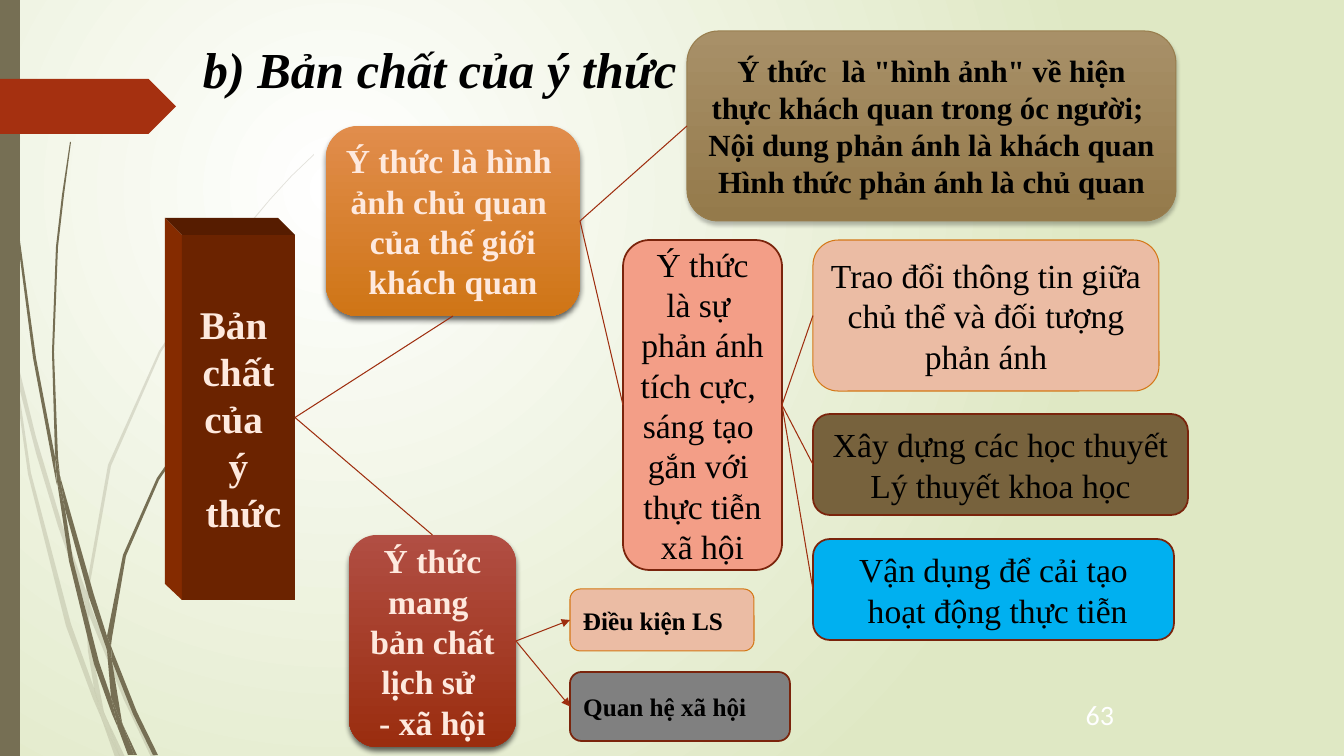
from dataclasses import dataclass
from typing import NamedTuple

from lxml.etree import SubElement
from pptx import Presentation
from pptx.dml.color import RGBColor
from pptx.enum.shapes import MSO_CONNECTOR, MSO_SHAPE
from pptx.enum.text import MSO_ANCHOR, PP_ALIGN
from pptx.oxml.ns import qn
from pptx.util import Emu, Pt

WIDTH, HEIGHT = 1344, 756
SCALE = 12192000 / WIDTH
TOP, LEFT, BOTTOM, RIGHT = range(4)


@dataclass(frozen=True)
class Theme:
    font: str = "Times New Roman"
    plain: str = "Calibri"
    title: int = 36
    root: int = 28
    body: int = 24
    note: int = 22
    small: int = 18
    page: int = 20
    black: str = "000000"
    white: str = "FFFFFF"
    cream: str = "FEE9DE"
    lime: str = "DFE8C4"
    olive: str = "766F54"
    red: str = "A53010"
    wire: str = "9E2E0F"
    rust: str = "7A240C"
    front: str = "6B2300"
    side: str = "852B00"
    lid: str = "561C00"


THEME = Theme()
Shade = NamedTuple("Shade", [("alpha", int), ("blur", int), ("drop", int)])


class Look(NamedTuple):
    fill: tuple[str, ...]
    line: str = ""
    weight: float = 0
    shade: Shade | None = None


class Type(NamedTuple):
    size: int
    color: str = THEME.black
    bold: bool = False
    italic: bool = False
    align: PP_ALIGN = PP_ALIGN.CENTER
    font: str = THEME.font


class Box(NamedTuple):
    name: str
    area: tuple[int, int, int, int]
    look: Look
    kind: Type
    lines: tuple[str, ...]
    form: MSO_SHAPE = MSO_SHAPE.ROUNDED_RECTANGLE
    wrap: bool = True


class Link(NamedTuple):
    start: str
    end: str
    site: int = LEFT
    arrow: bool = False


DEEP, SOFT = Shade(60, 4, 3), Shade(25, 3, 2)
PALE = Look(("EBBCA4",), "D47817", 0.75)
BODY = Type(THEME.body)
BOLD = Type(THEME.body, THEME.cream, True)
SMALL = Type(THEME.small, bold=True, align=PP_ALIGN.LEFT)
BOXES = (
    Box("root", (182, 235, 113, 365), Look((THEME.front,)), Type(THEME.root, THEME.cream, True),
        ("Bản ", "chất", "của ", "ý", " thức"), MSO_SHAPE.RECTANGLE, False),
    Box("image", (326, 126, 254, 190), Look(("E18D4C", "CF7516"), shade=DEEP), BOLD,
        ("Ý thức là hình ", "ảnh chủ quan ", "của thế giới", "khách quan")),
    Box("content", (687, 31, 489, 190), Look(("A89068", "947A4B"), "987D4D", 0.75, SOFT), Type(THEME.note, bold=True),
        ('Ý thức  là "hình ảnh" về hiện thực khách quan trong óc người; ',
         "Nội dung phản ánh là khách quan", "Hình thức phản ánh là chủ quan")),
    Box("active", (623, 240, 159, 330), Look(("F39E87",), THEME.rust, 1.25), BODY,
        ("Ý thức là sự ", "phản ánh ", "tích cực, ", "sáng tạo ", "gắn với ", "thực tiễn ", "xã hội")),
    Box("exchange", (813, 240, 346, 151), PALE, BODY, ("Trao đổi thông tin giữa ", "chủ thể và đối tượng phản ánh")),
    Box("theory", (813, 414, 375, 101), Look(("77623D",), THEME.rust, 1.25), BODY,
        ("Xây dựng các học thuyết", "Lý thuyết khoa học")),
    Box("apply", (813, 539, 361, 101), Look(("00B0F0",), THEME.rust, 1.25), BODY,
        ("Vận dụng để cải tạo", " hoạt động thực tiễn")),
    Box("social", (349, 535, 167, 212), Look(("B14E43", "9A2D0F"), shade=DEEP), BOLD,
        ("Ý thức mang ", "bản chất ", "lịch sử ", "- xã hội")),
    Box("era", (570, 589, 184, 62), PALE, SMALL, ("Điều kiện LS",)),
    Box("ties", (570, 672, 220, 69), Look(("808080",), THEME.rust, 1.25), SMALL, ("Quan hệ xã hội",)),
)
LINKS = (
    Link("image", "content"), Link("image", "active"),
    Link("active", "exchange"), Link("active", "theory"), Link("active", "apply"),
    Link("root", "image", BOTTOM), Link("root", "social", TOP),
    Link("social", "era", arrow=True), Link("social", "ties", arrow=True),
)
FAINT = (
    ((11, 353), (9, 325), (0, 284), (0, 301), (10, 347)),
    ((58, 526), (85, 604), (86, 591), (62, 524), (36, 437), (14, 348), (17, 379), (36, 453)),
    ((93, 612), (89, 601), (89, 615), (124, 700), (151, 757), (156, 757), (128, 698)),
    ((120, 757), (125, 757), (106, 717)),
    ((94, 688), (71, 624), (31, 473), (17, 379), (11, 353), (28, 474), (66, 626), (93, 699), (102, 720), (100, 713)),
    ((85, 604), (88, 651), (94, 688), (97, 698), (106, 717), (104, 712), (92, 651), (89, 615), (89, 613)),
    ((89, 589), (111, 466), (161, 352), (231, 247), (270, 200), (292, 176), (314, 155), (314, 154),
     (291, 176), (270, 199), (230, 246), (159, 351), (108, 465), (86, 589), (86, 591), (89, 601)),
    ((102, 720), (115, 757), (120, 757)),
    ((89, 613), (89, 615), (89, 601), (86, 591), (85, 604)),
    ((97, 698), (94, 688), (100, 713), (102, 720), (120, 757), (106, 717)),
)
DARK = (
    ((7, 111), (17, 235), (33, 358), (56, 481), (57, 485), (55, 461), (55, 457),
     (36, 358), (19, 234), (8, 110), (5, 48), (4, 0), (3, 0), (4, 48)),
    ((89, 597), (107, 650), (107, 638), (107, 636), (94, 595), (60, 476), (65, 509)),
    ((114, 654), (111, 646), (112, 661), (133, 714), (153, 755), (158, 755), (137, 712)),
    ((111, 697), (99, 662), (73, 560), (65, 509), (57, 481), (69, 561), (94, 664), (112, 714), (118, 728), (117, 723)),
    ((60, 476), (58, 457), (54, 352), (58, 247), (64, 195), (71, 142), (70, 142), (62, 195),
     (56, 247), (52, 352), (55, 453)),
    ((134, 755), (137, 755), (123, 725)),
    ((57, 481), (65, 509), (60, 476), (55, 453), (55, 457)),
    ((112, 638), (126, 556), (159, 480), (207, 409), (233, 377), (247, 362), (263, 347), (262, 347),
     (247, 361), (233, 376), (206, 408), (157, 478), (123, 555), (107, 636), (111, 646)),
    ((118, 728), (128, 755), (132, 755)),
    ((107, 650), (111, 697), (117, 712), (123, 725), (122, 722), (112, 661), (110, 656)),
    ((107, 650), (110, 656), (112, 661), (111, 646), (107, 636), (107, 638)),
    ((117, 712), (111, 697), (117, 723), (118, 728), (131, 755), (134, 755), (123, 725)),
)


def px(*values: int) -> list[Emu]:
    return [Emu(round(value * SCALE)) for value in values]


def blend(fill, colors: tuple[str, ...]) -> None:
    """Fill with one colour, or with a downward gradient of two."""
    if len(colors) == 1:
        fill.solid()
        fill.fore_color.rgb = RGBColor.from_string(colors[0])
        return
    fill.gradient()
    fill.gradient_angle = 270
    for stop, color in zip(fill.gradient_stops, colors):
        stop.color.rgb = RGBColor.from_string(color)


def fade(color, alpha: int) -> None:
    SubElement(color, qn("a:alpha"), val=str(alpha * 1000))


def paint(shape, look: Look) -> None:
    shape.shadow.inherit = False
    blend(shape.fill, look.fill)
    shape.line.fill.background()
    if look.line:
        shape.line.color.rgb = RGBColor.from_string(look.line)
        shape.line.width = Pt(look.weight)
    if look.shade:
        outer = SubElement(shape.element.spPr.find(qn("a:effectLst")), qn("a:outerShdw"), dir="5400000",
                           blurRad=str(Pt(look.shade.blur)), dist=str(Pt(look.shade.drop)), rotWithShape="0")
        fade(SubElement(outer, qn("a:srgbClr"), val=THEME.black), look.shade.alpha)


def write(shape, lines: tuple[str, ...], kind: Type, wrap: bool = True) -> None:
    frame = shape.text_frame
    frame.word_wrap, frame.vertical_anchor = wrap, MSO_ANCHOR.MIDDLE
    frame.text = "\n".join(lines)
    form = {"name": kind.font, "size": Pt(kind.size), "bold": kind.bold, "italic": kind.italic}
    for para in frame.paragraphs:
        para.alignment = kind.align
        for run in para.runs:
            for key, value in form.items():
                setattr(run.font, key, value)
            run.font.color.rgb = RGBColor.from_string(kind.color)


def trace(shapes, points: tuple[tuple[int, int], ...], color: str, alpha: int = 100) -> None:
    start, *rest = [px(*point) for point in points]
    pen = shapes.build_freeform(*start)
    pen.add_line_segments(rest, close=True)
    shape = pen.convert_to_shape()
    paint(shape, Look((color,)))
    if alpha < 100:
        fade(shape.element.spPr.find(".//" + qn("a:srgbClr")), alpha)


def join(shapes, link: Link, drawn: dict) -> None:
    wire = shapes.add_connector(MSO_CONNECTOR.STRAIGHT, 0, 0, 0, 0)
    wire.begin_connect(drawn[link.start], RIGHT)
    wire.end_connect(drawn[link.end], link.site)
    wire.line.color.rgb = RGBColor.from_string(THEME.wire)
    wire.line.width = Pt(0.75)
    if link.arrow:
        SubElement(wire.element.spPr.find(qn("a:ln")), qn("a:tailEnd"), type="triangle")
    SubElement(wire.element.spPr, qn("a:effectLst"))


def glow(slide) -> None:
    """Light the background from its upper left."""
    blend(slide.background.fill, (THEME.white, THEME.lime))
    grad = slide.element.find(".//" + qn("a:gradFill"))
    grad.remove(grad.find(qn("a:lin")))
    ring = SubElement(grad, qn("a:path"), {"path": "circle"})
    SubElement(ring, qn("a:fillToRect"), l="50000", t="50000", r="100000", b="100000")


def main() -> None:
    deck = Presentation()
    deck.slide_width, deck.slide_height = px(WIDTH, HEIGHT)
    slide = deck.slides.add_slide(deck.slide_layouts[6])
    shapes = slide.shapes
    glow(slide)
    for wisps, alpha in ((FAINT, 20), (DARK, 100)):
        for wisp in wisps:
            trace(shapes, wisp, THEME.olive, alpha)
    for form, area, color in ((MSO_SHAPE.RECTANGLE, (0, 0, 20, HEIGHT), THEME.olive),
                              (MSO_SHAPE.PENTAGON, (0, 79, 176, 55), THEME.red)):
        paint(shapes.add_shape(form, *px(*area)), Look((color,)))
    trace(shapes, ((165, 218), (182, 235), (182, 600), (165, 584)), THEME.side)
    trace(shapes, ((165, 218), (278, 218), (295, 235), (182, 235)), THEME.lid)
    title = Type(THEME.title, bold=True, italic=True, align=PP_ALIGN.LEFT)
    page = Type(THEME.page, THEME.white, font=THEME.plain)
    write(shapes.add_textbox(*px(193, 32, 512, 72)), ("b) Bản chất của ý thức",), title)
    write(shapes.add_textbox(*px(1060, 694, 80, 40)), ("63",), page)
    drawn = {}
    for box in BOXES:
        shape = drawn[box.name] = shapes.add_shape(box.form, *px(*box.area))
        paint(shape, box.look)
        write(shape, box.lines, box.kind, box.wrap)
    for link in LINKS:
        join(shapes, link, drawn)
    deck.save("out.pptx")


if __name__ == "__main__":
    main()
